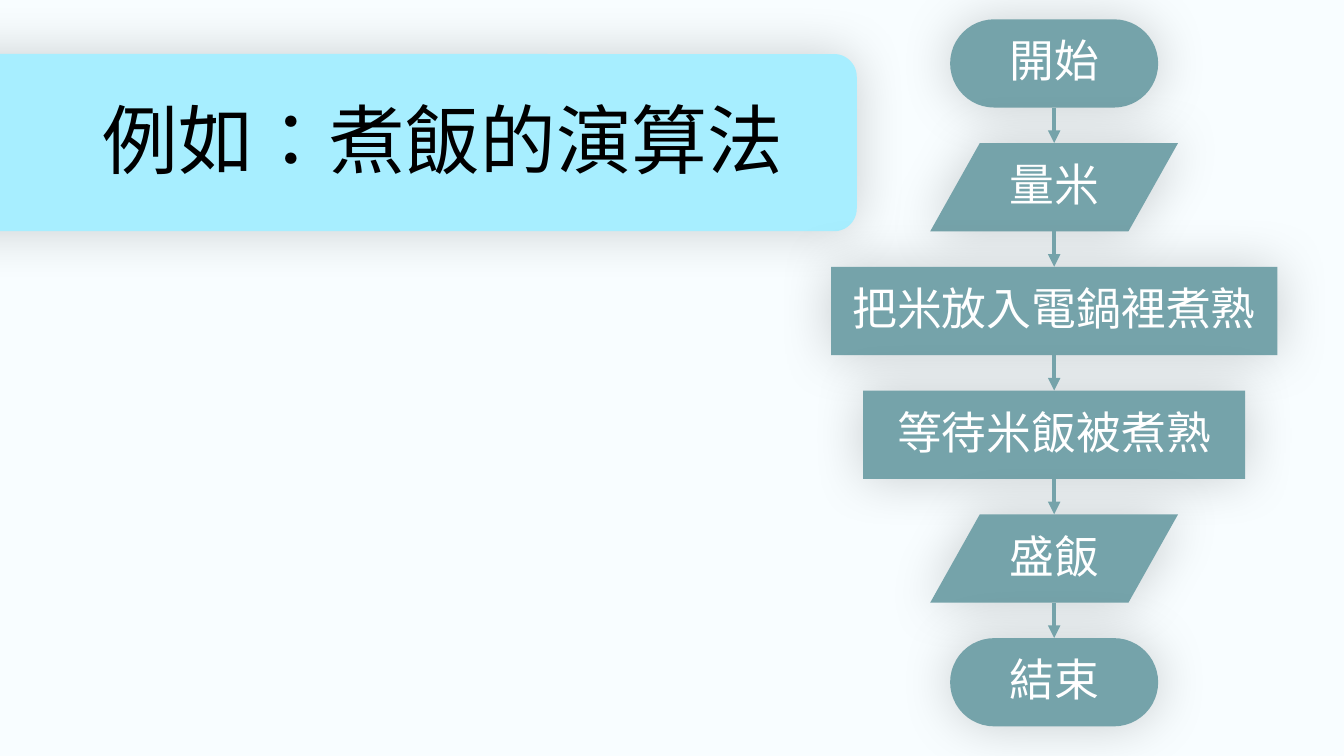
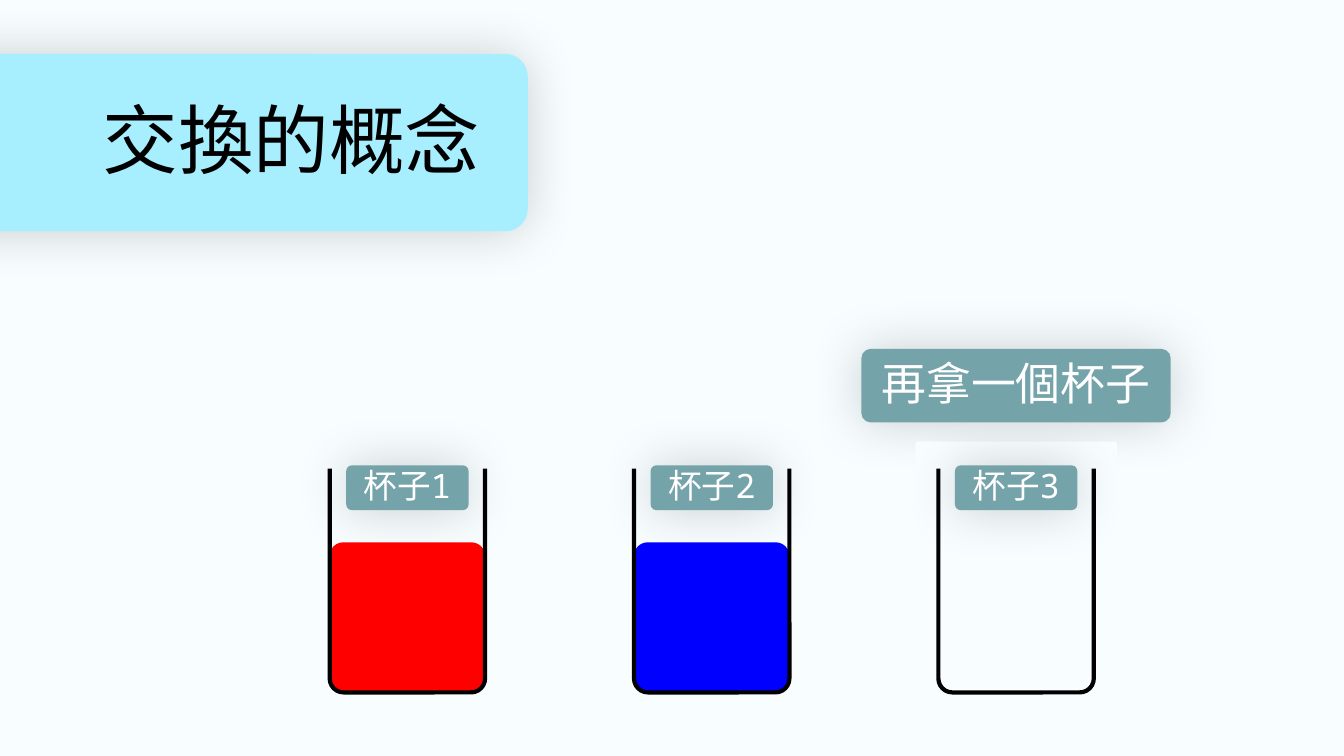
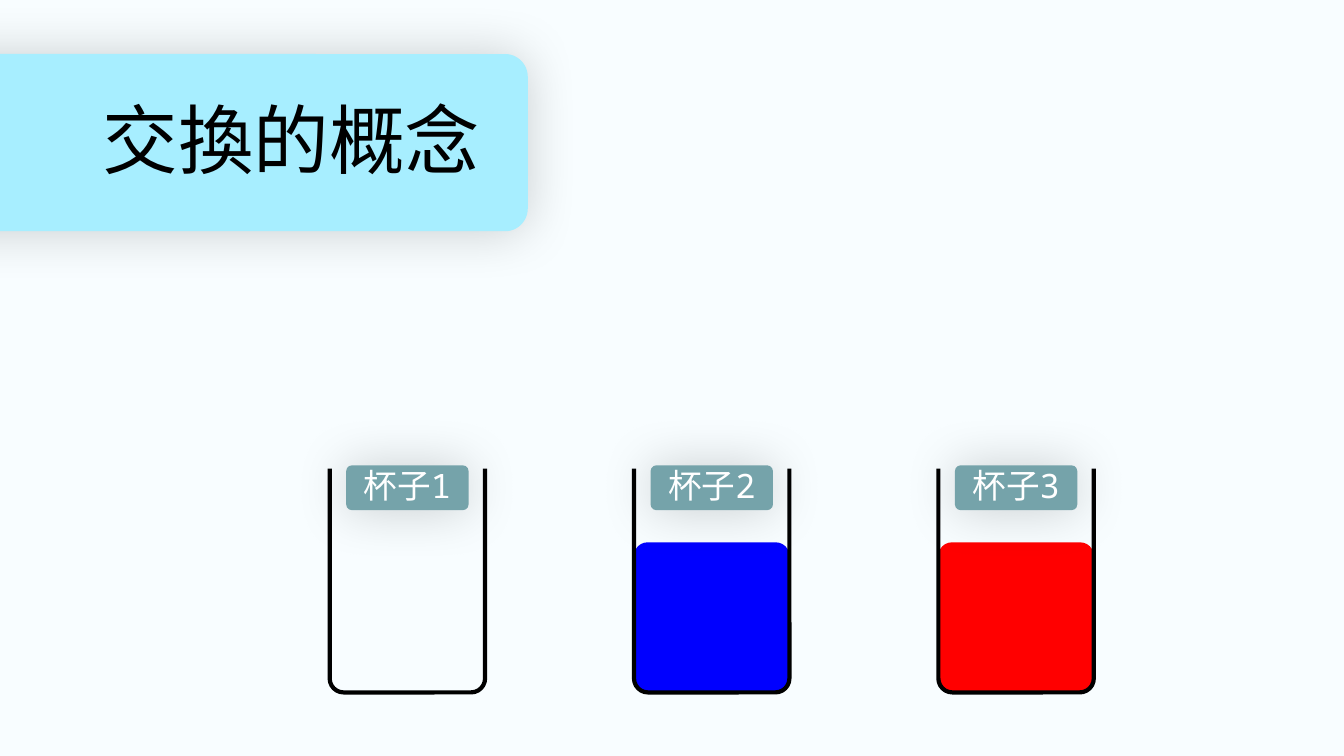
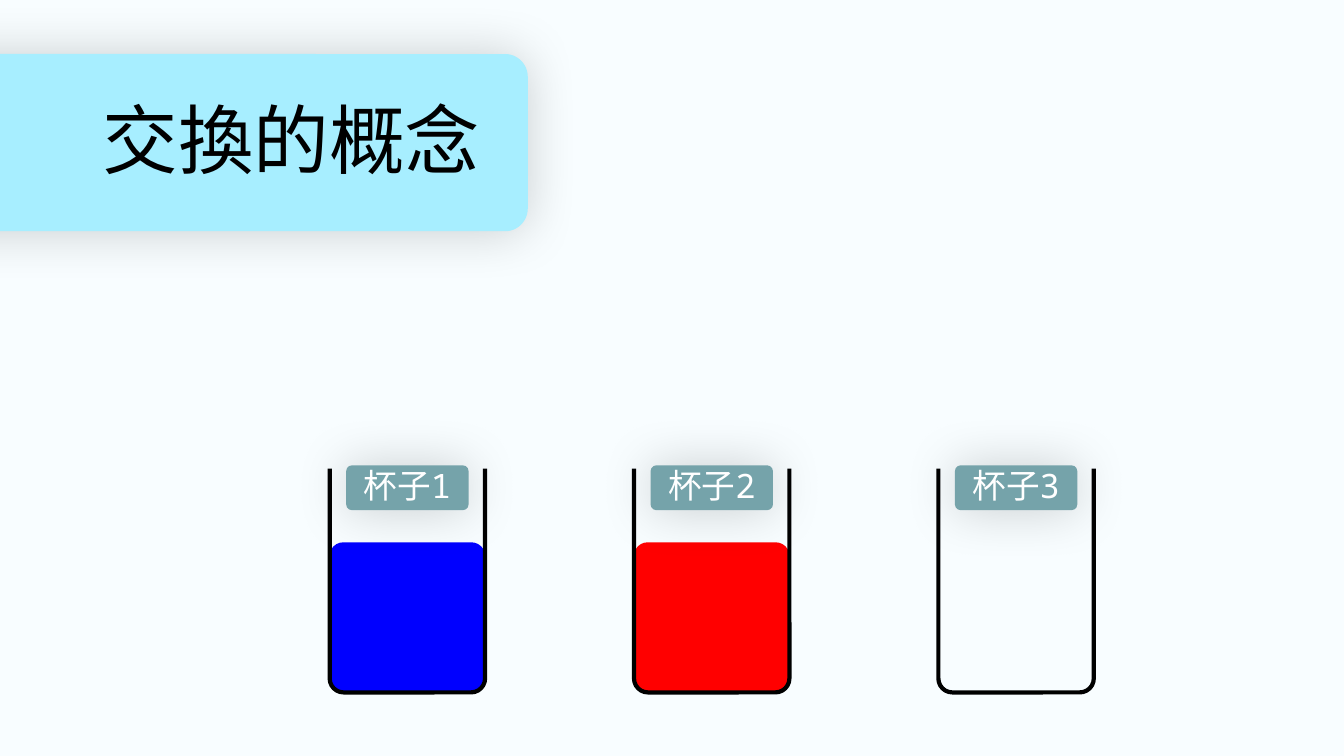
"""Build four slides on a cooking algorithm and on swapping two cups."""
from dataclasses import dataclass
from typing import Optional

from lxml import etree
from pptx import Presentation
from pptx.dml.color import RGBColor
from pptx.enum.shapes import MSO_CONNECTOR, MSO_SHAPE
from pptx.enum.text import MSO_ANCHOR, MSO_AUTO_SIZE, PP_ALIGN
from pptx.oxml.ns import qn
from pptx.presentation import Presentation as Deck
from pptx.shapes.autoshape import Shape
from pptx.shapes.shapetree import _BaseGroupShapes as Shapes
from pptx.slide import Slide
from pptx.text.text import TextFrame
from pptx.util import Pt

ROUND = MSO_SHAPE.ROUNDED_RECTANGLE
SLANTED = MSO_SHAPE.FLOWCHART_DATA
STRAIGHT = MSO_CONNECTOR.STRAIGHT
MIDDLE = MSO_ANCHOR.MIDDLE
NO_AUTOSIZE = MSO_AUTO_SIZE.NONE
LEFT, CENTER = PP_ALIGN.LEFT, PP_ALIGN.CENTER

PAPER = RGBColor(0xF8, 0xFD, 0xFF)
SKY = RGBColor(0xA7, 0xEE, 0xFF)
TEAL = RGBColor(0x75, 0xA3, 0xAA)
BLACK = RGBColor(0, 0, 0)
WHITE = RGBColor(0xFF, 0xFF, 0xFF)
RED = RGBColor(0xFF, 0, 0)
BLUE = RGBColor(0, 0, 0xFF)

FONT = "Noto Sans Mono"
TITLE_ONLY = 5
LINE_WIDTH = 3
SOFT_CORNER = 0.128
CUP_CORNER = 0.09

STEP_CENTER, STEP_TOP, STEP_HEIGHT, STEP_PITCH = 753, 13.8, 63, 88.4
CUP_CENTER, CUP_PITCH, CUP_WIDTH, CUP_BOTTOM = 291, 217.4, 111, 494.6


@dataclass(frozen=True)
class Box:
    """A rectangle in points."""

    left: float
    top: float
    width: float
    height: float


@dataclass(frozen=True)
class Step:
    """One node of the flowchart."""

    text: str
    width: float
    kind: MSO_SHAPE = ROUND
    corner: Optional[float] = 0


@dataclass(frozen=True)
class CupScene:
    """The liquids in the three cups, and a callout over the last cup."""

    liquids: tuple[Optional[RGBColor], ...]
    callout: str = ""


STEPS = (
    Step("開始", 148.6, corner=0.5),
    Step("量米", 177, SLANTED, None),
    Step("把米放入電鍋裡煮熟", 318.8),
    Step("等待米飯被煮熟", 272.8),
    Step("盛飯", 177, SLANTED, None),
    Step("結束", 148.6, corner=0.5),
)

CUP_SCENES = (
    CupScene((RED, BLUE, None), "再拿一個杯子"),
    CupScene((None, BLUE, RED)),
    CupScene((BLUE, RED, None)),
)


def centered(center: float, top: float, width: float, height: float) -> Box:
    """Return a box placed around a horizontal center."""
    return Box(center - width / 2, top, width, height)


def write_text(frame: TextFrame, text: str, size: float, color: RGBColor, align: PP_ALIGN) -> None:
    """Write one formatted line into a text frame."""
    frame.word_wrap = True
    frame.auto_size = NO_AUTOSIZE
    frame.vertical_anchor = MIDDLE
    para = frame.paragraphs[0]
    para.alignment = align
    para.line_spacing = 0.9
    span = para.add_run()
    span.text = text
    span.font.size = Pt(size)
    span.font.name = FONT
    span.font.color.rgb = color
    properties = span.font._element
    properties.set("lang", "zh-TW")
    latin = properties.find(qn("a:latin"))
    east_asian = etree.Element(qn("a:ea"), typeface=FONT)
    latin.addnext(east_asian)


def add_glow(shape: Shape) -> None:
    """Put a soft, centred shadow around a shape."""
    effects = shape._element.spPr.find(qn("a:effectLst"))
    shadow = etree.SubElement(effects, qn("a:outerShdw"), blurRad=str(Pt(38)), dist="0",
                              dir="0", algn="ctr", rotWithShape="0")
    color = etree.SubElement(shadow, qn("a:srgbClr"), val=str(BLACK))
    etree.SubElement(color, qn("a:alpha"), val="19000")


def add_panel(shapes: Shapes, box: Box, fill: Optional[RGBColor], corner: Optional[float],
              kind: MSO_SHAPE = ROUND, line: Optional[RGBColor] = None,
              glow: bool = False) -> Shape:
    """Draw one preset shape."""
    panel = shapes.add_shape(kind, Pt(box.left), Pt(box.top), Pt(box.width), Pt(box.height))
    panel.shadow.inherit = False
    if corner is not None:
        panel.adjustments[0] = corner
    if fill is None:
        panel.fill.background()
    else:
        panel.fill.solid()
        panel.fill.fore_color.rgb = fill
    if line is None:
        panel.line.fill.background()
    else:
        panel.line.color.rgb = line
        panel.line.width = Pt(LINE_WIDTH)
    if glow:
        add_glow(panel)
    return panel


def add_label(slide: Slide, box: Box, text: str, size: float = 32,
              corner: Optional[float] = SOFT_CORNER, kind: MSO_SHAPE = ROUND) -> None:
    """Draw a glowing teal shape with white centred text."""
    label = add_panel(slide.shapes, box, TEAL, corner, kind, glow=True)
    frame = label.text_frame
    frame.margin_left = frame.margin_right = Pt(0)
    write_text(frame, text, size, WHITE, CENTER)


def add_arrow(slide: Slide, center: float, top: float, bottom: float) -> None:
    """Draw an arrow pointing down."""
    arrow = slide.shapes.add_connector(STRAIGHT, Pt(center), Pt(top), Pt(center), Pt(bottom))
    arrow.line.color.rgb = TEAL
    arrow.line.width = Pt(LINE_WIDTH)
    etree.SubElement(arrow.line._get_or_add_ln(), qn("a:tailEnd"), type="triangle")
    etree.SubElement(arrow._element.spPr, qn("a:effectLst"))


def add_titled_slide(deck: Deck, text: str, band_right: float) -> Slide:
    """Add a slide with its title on a band from the left edge."""
    slide = deck.slides.add_slide(deck.slide_layouts[TITLE_ONLY])
    band_left = -113
    band = add_panel(slide.shapes, Box(band_left, 38.6, band_right - band_left, 126.6),
                     SKY, SOFT_CORNER, glow=True)
    title = slide.shapes.title
    title._element.addprevious(band._element)
    title.left, title.top, title.width, title.height = Pt(66), Pt(51), Pt(828), Pt(104.4)
    write_text(title.text_frame, text, 54, BLACK, LEFT)
    return slide


def add_cup(slide: Slide, center: float, liquid: Optional[RGBColor]) -> None:
    """Draw an open cup as a group, with its liquid if any."""
    cup = slide.shapes.add_group_shape().shapes
    liquid_top, glass_top = 387.4, 322.6
    if liquid is not None:
        add_panel(cup, centered(center, liquid_top, CUP_WIDTH, CUP_BOTTOM - liquid_top),
                  liquid, CUP_CORNER)
    add_panel(cup, centered(center, glass_top, CUP_WIDTH, CUP_BOTTOM - glass_top),
              None, CUP_CORNER, line=BLACK)
    add_panel(cup, centered(center, 315.4, 144, 19.4), PAPER, CUP_CORNER)


def add_flowchart_slide(deck: Deck) -> None:
    """Add the flowchart for cooking rice."""
    slide = add_titled_slide(deck, "例如：煮飯的演算法", 612)
    tops = [STEP_TOP + STEP_PITCH * index for index in range(len(STEPS))]
    for step, top in zip(STEPS, tops):
        add_label(slide, centered(STEP_CENTER, top, step.width, STEP_HEIGHT), step.text,
                  corner=step.corner, kind=step.kind)
    for top, next_top in zip(tops, tops[1:]):
        add_arrow(slide, STEP_CENTER, top + STEP_HEIGHT, next_top)


def add_cup_slide(deck: Deck, scene: CupScene) -> None:
    """Add one stage of swapping the cups."""
    slide = add_titled_slide(deck, "交換的概念", 377)
    centers = [CUP_CENTER + CUP_PITCH * index for index in range(len(scene.liquids))]
    if scene.callout:
        add_label(slide, centered(centers[-1], 249.2, 221, 52.6), scene.callout)
    for center, liquid in zip(centers, scene.liquids):
        add_cup(slide, center, liquid)
    for number, center in enumerate(centers, start=1):
        add_label(slide, centered(center, 332.4, 87.4, 32), f"杯子{number}", size=24)


def main() -> None:
    """Build and save the deck."""
    deck = Presentation()
    deck.slide_width, deck.slide_height = Pt(960), Pt(540)
    background = deck.slide_master.background.fill
    background.solid()
    background.fore_color.rgb = PAPER
    add_flowchart_slide(deck)
    for scene in CUP_SCENES:
        add_cup_slide(deck, scene)
    deck.save("out.pptx")


if __name__ == "__main__":
    main()
